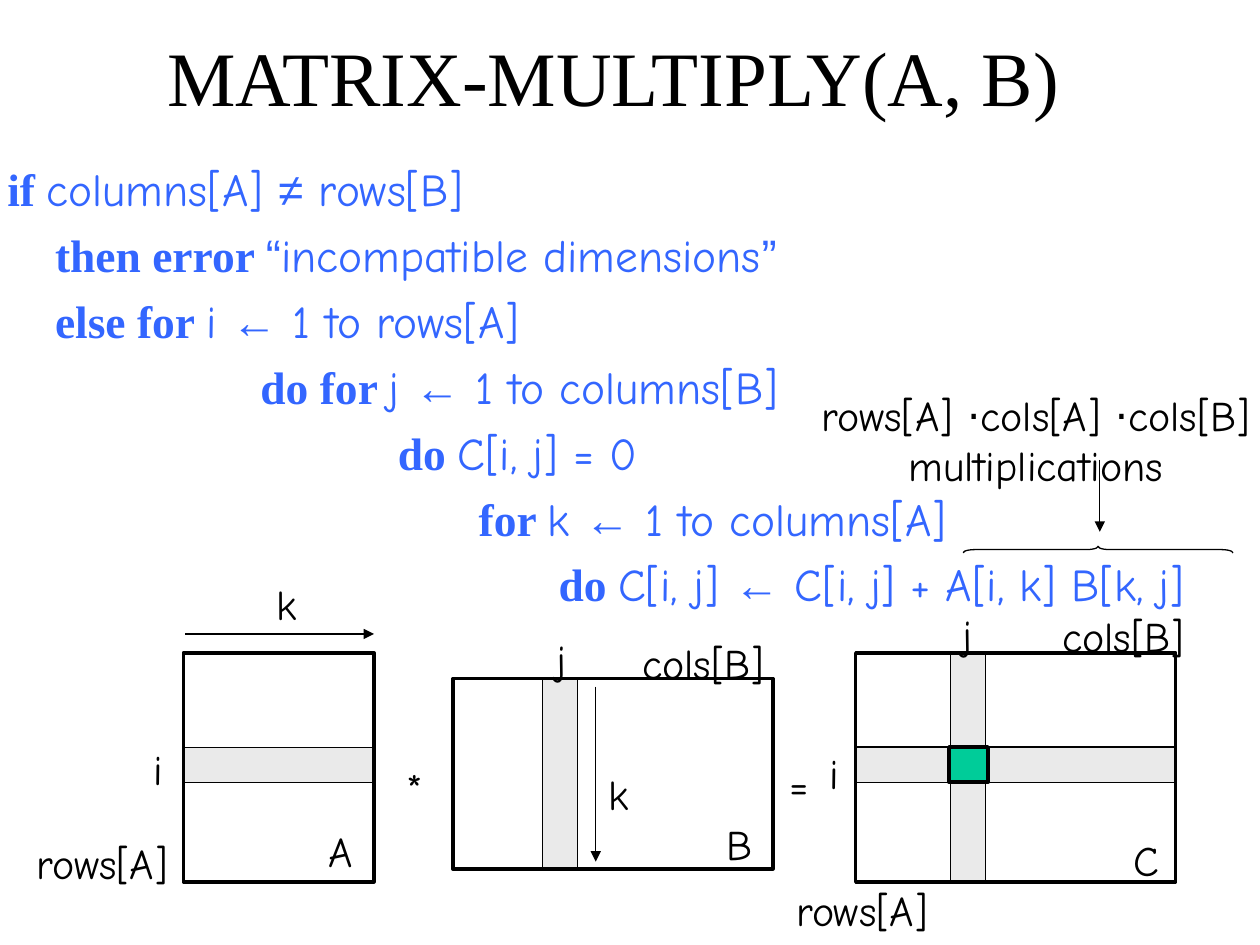
from dataclasses import dataclass
from typing import NamedTuple, Optional

from lxml import etree
from pptx import Presentation
from pptx.dml.color import RGBColor
from pptx.enum.shapes import MSO_CONNECTOR, MSO_SHAPE
from pptx.enum.text import MSO_ANCHOR, MSO_AUTO_SIZE, PP_ALIGN
from pptx.oxml.ns import qn
from pptx.util import Cm, Pt

RECT, BRACE = MSO_SHAPE.RECTANGLE, MSO_SHAPE.LEFT_BRACE
STRAIGHT = MSO_CONNECTOR.STRAIGHT
LEFT, CENTER = PP_ALIGN.LEFT, PP_ALIGN.CENTER
MIDDLE = MSO_ANCHOR.MIDDLE
GROW = MSO_AUTO_SIZE.SHAPE_TO_FIT_TEXT


@dataclass(frozen=True)
class Theme:
    ink: RGBColor = RGBColor(0x00, 0x00, 0x00)
    code: RGBColor = RGBColor(0x33, 0x66, 0xFF)
    band: RGBColor = RGBColor(0xEA, 0xEA, 0xEA)
    cell: RGBColor = RGBColor(0x00, 0xCC, 0x99)
    serif: str = "Times New Roman"
    hand: str = "Comic Neue"
    symbol: str = "Arial"
    title_pt: float = 44
    code_pt: float = 26
    label_pt: float = 24
    thin: float = 0.75
    thick: float = 2


THEME = Theme()
BAND = 0.71  # thickness of a highlighted row or column
LABEL_H = 1.27
SYMBOLS = "≠←“”⋅"


# All positions and lengths below are in centimetres
class Matrix(NamedTuple):
    x: float
    y: float
    w: float
    h: float
    row_y: Optional[float] = None
    col_x: Optional[float] = None


class Label(NamedTuple):
    text: str
    x: float
    y: float
    w: float


class CodeLine(NamedTuple):
    indent: float
    keyword: str
    rest: str


class Arrow(NamedTuple):
    x1: float
    y1: float
    x2: float
    y2: float


MATRICES = [
    Matrix(3.7, 13.16, 3.84, 4.62, row_y=15.07),
    Matrix(9.13, 13.68, 6.45, 3.84, col_x=10.93),
    Matrix(17.25, 13.16, 6.45, 4.62, row_y=15.06, col_x=19.16),
]

CODE = [
    CodeLine(0, "if ", "columns[A] ≠ rows[B]"),
    CodeLine(0.96, "then error ", "“incompatible dimensions”"),
    CodeLine(0.96, "else for ", "i ← 1 to rows[A]"),
    CodeLine(5.1, "do for ", "j ← 1 to columns[B]"),
    CodeLine(7.87, "do ", "C[i, j] = 0"),
    CodeLine(9.5, "for ", "k ← 1 to columns[A]"),
    CodeLine(11.11, "do ", "C[i, j] ← C[i, j] + A[i, k] B[k, j]"),
]

LABELS = [
    Label("rows[A]", 0.48, 16.76, 3.25),
    Label("rows[A]", 15.8, 17.7, 3.25),
    Label("cols[B]", 12.7, 12.73, 3.2),
    Label("cols[B]", 21.16, 12.19, 3.2),
    Label("i", 2.84, 14.86, 0.69),
    Label("j", 10.97, 12.65, 0.71),
    Label("j", 19.15, 12.14, 0.71),
    Label("i", 16.48, 14.94, 0.69),
    Label("A", 6.38, 16.51, 1.05),
    Label("B", 14.4, 16.38, 1.05),
    Label("C", 22.61, 16.69, 1.05),
    Label("*", 7.95, 15.24, 0.84),
    Label("=", 15.67, 15.16, 0.92),
    Label("k", 5.33, 11.53, 0.95),
    Label("k", 12.01, 15.37, 0.95),
]

ARROWS = [
    Arrow(3.73, 12.78, 7.54, 12.78),
    Arrow(12.01, 13.84, 12.01, 17.37),
    Arrow(22.17, 9.27, 22.17, 10.72),
]


def add_run(p, text: str, font: str, size: float, color: RGBColor, bold: bool = False) -> None:
    r = p.add_run()
    r.text = text
    r.font.name, r.font.size, r.font.bold = font, Pt(size), bold
    r.font.color.rgb = color


def add_mixed(p, text: str, size: float, color: RGBColor) -> None:
    """Write handwriting text, with its symbols in the symbol font."""
    part = ""
    for ch in text:
        if ch in SYMBOLS:
            if part:
                add_run(p, part, THEME.hand, size, color)
            add_run(p, ch, THEME.symbol, size, color)
            part = ""
        else:
            part += ch
    if part:
        add_run(p, part, THEME.hand, size, color)


def add_box(s, x: float, y: float, w: float, h: float, wrap: bool = True):
    tf = s.shapes.add_textbox(Cm(x), Cm(y), Cm(w), Cm(h)).text_frame
    tf.word_wrap = wrap
    return tf


def add_label(s, lines: list[str], x: float, y: float, w: float, h: float = LABEL_H, align=LEFT) -> None:
    tf = add_box(s, x, y, w, h, wrap=False)
    tf.auto_size = GROW
    for i, line in enumerate(lines):
        p = tf.add_paragraph() if i else tf.paragraphs[0]
        p.alignment = align
        add_mixed(p, line, THEME.label_pt, THEME.ink)


def add_outline(s, kind, x: float, y: float, w: float, h: float, width: float, fill: Optional[RGBColor] = None):
    sp = s.shapes.add_shape(kind, Cm(x), Cm(y), Cm(w), Cm(h))
    sp.shadow.inherit = False
    if fill is None:
        sp.fill.background()
    else:
        sp.fill.solid()
        sp.fill.fore_color.rgb = fill
    sp.line.color.rgb = THEME.ink
    sp.line.width = Pt(width)
    return sp


def add_bands(s, m: Matrix) -> None:
    if m.row_y is not None:
        add_outline(s, RECT, m.x, m.row_y, m.w, BAND, THEME.thin, THEME.band)
    if m.col_x is not None:
        add_outline(s, RECT, m.col_x, m.y, BAND, m.h, THEME.thin, THEME.band)


def add_arrow(s, a: Arrow) -> None:
    c = s.shapes.add_connector(STRAIGHT, Cm(a.x1), Cm(a.y1), Cm(a.x2), Cm(a.y2))
    c.line.color.rgb = THEME.ink
    c.line.width = Pt(THEME.thin)
    ln = c._element.spPr.find(qn("a:ln"))
    etree.SubElement(ln, qn("a:tailEnd"), type="triangle")
    etree.SubElement(c._element.spPr, qn("a:effectLst"))


def main() -> None:
    prs = Presentation()
    prs.slide_width, prs.slide_height = Cm(25.4), Cm(19.05)
    s = prs.slides.add_slide(prs.slide_layouts[6])

    # Highlighted rows and columns, behind everything
    for m in MATRICES:
        add_bands(s, m)

    # Title
    tf = add_box(s, 0.94, 0.28, 22.86, 2.51)
    tf.vertical_anchor = MIDDLE
    p = tf.paragraphs[0]
    p.alignment = CENTER
    add_run(p, "MATRIX-MULTIPLY(A, B)", THEME.serif, THEME.title_pt, THEME.ink)

    # Pseudocode
    tf = add_box(s, -0.1, 3.12, 25.12, 14.1)
    for i, line in enumerate(CODE):
        p = tf.add_paragraph() if i else tf.paragraphs[0]
        p.space_before = Pt(6.5)
        p._p.get_or_add_pPr().set("marL", str(Cm(line.indent)))
        add_run(p, line.keyword, THEME.serif, THEME.code_pt, THEME.code, bold=True)
        add_mixed(p, line.rest, THEME.code_pt, THEME.code)

    # Matrix frames and the computed cell
    for m in MATRICES:
        add_outline(s, RECT, m.x, m.y, m.w, m.h, THEME.thick)
    add_outline(s, RECT, 19.13, 15.06, 0.79, BAND, THEME.thick, THEME.cell)

    # Labels and arrows
    for lb in LABELS:
        add_label(s, [lb.text], lb.x, lb.y, lb.w)
    for a in ARROWS:
        add_arrow(s, a)

    # Multiplication count with its brace
    add_label(s, ["rows[A] ⋅cols[A] ⋅cols[B]", "multiplications"], 16.08, 7.72, 9.6, 2.29, CENTER)
    brace = add_outline(s, BRACE, 22.07, 8.36, 0.13, 5.44, THEME.thin)
    brace.rotation = 90
    brace.adjustments[0] = 1.8

    prs.save("out.pptx")


if __name__ == "__main__":
    main()
